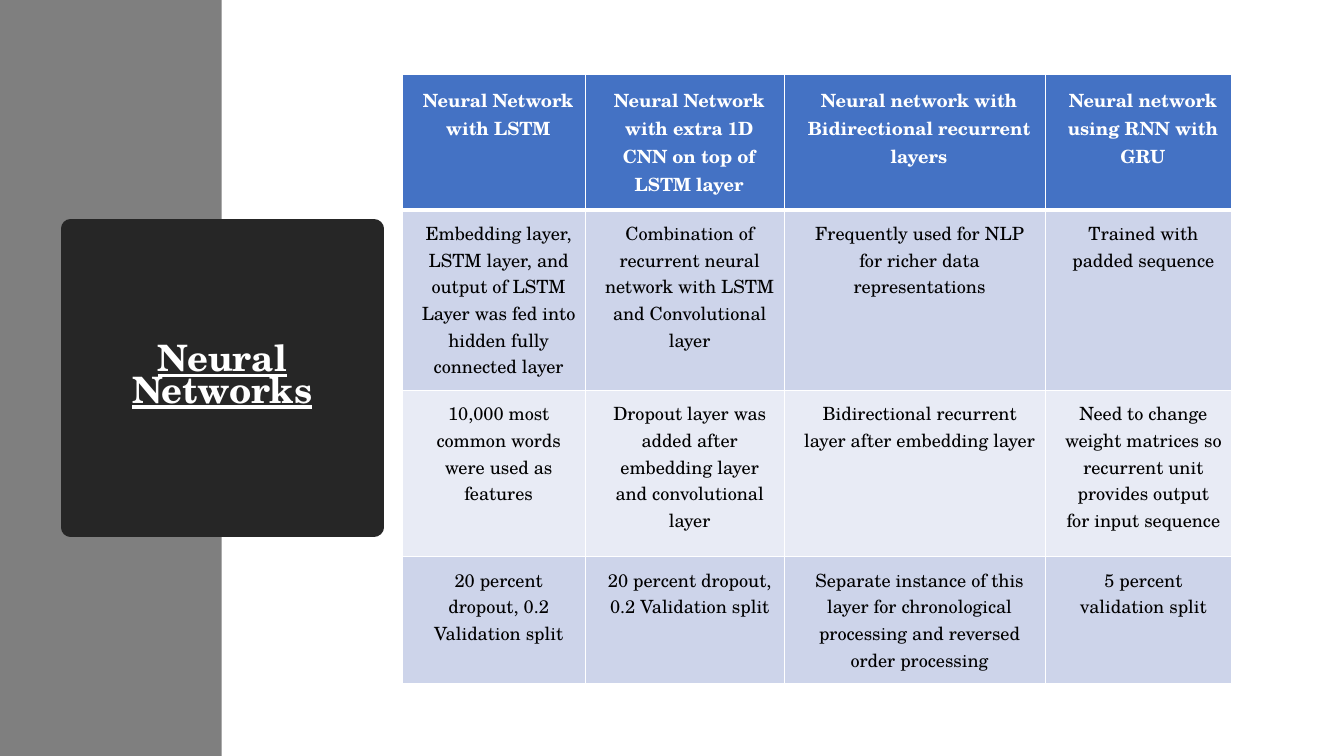
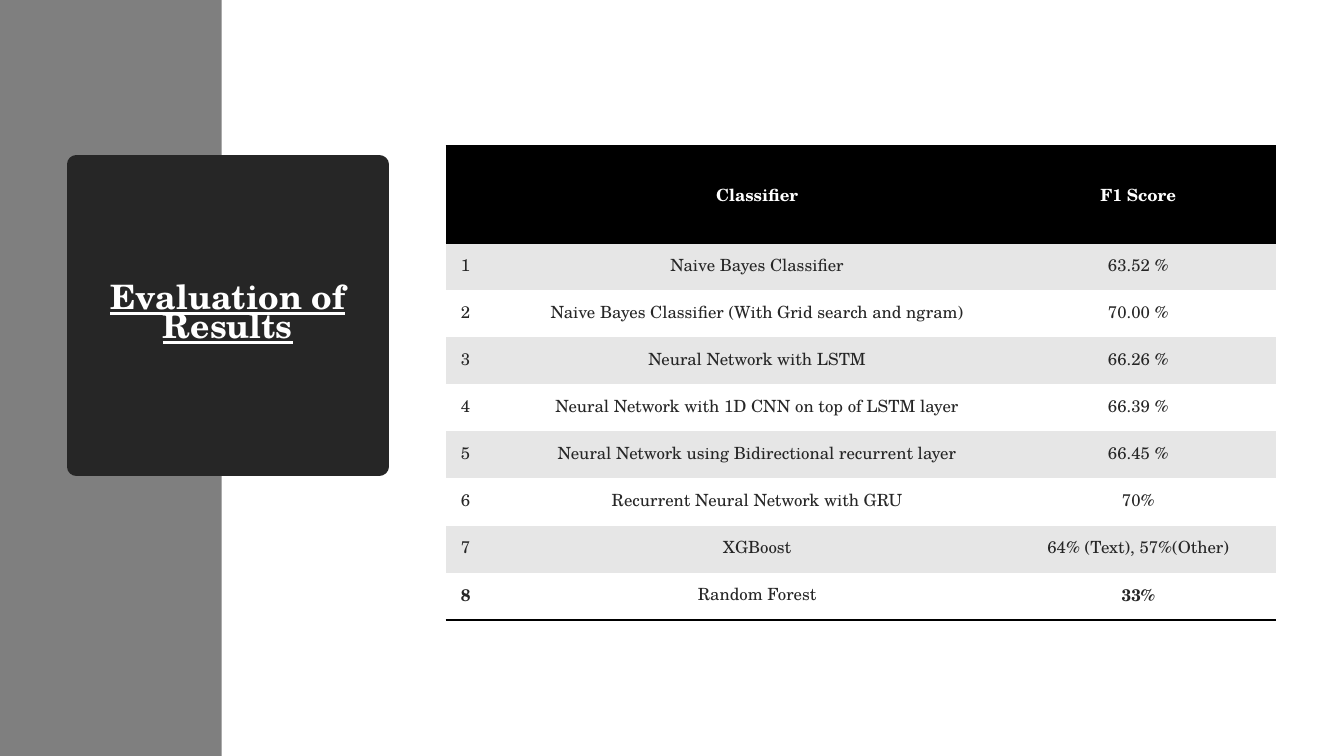
from lxml.etree import SubElement
from pptx import Presentation
from pptx.dml.color import RGBColor
from pptx.enum.shapes import MSO_SHAPE as Shape
from pptx.enum.text import MSO_ANCHOR as Anchor, MSO_AUTO_SIZE as AutoSize, PP_ALIGN as Align
from pptx.oxml.ns import qn
from pptx.util import Inches, Pt

FONT = "TeX Gyre Schola"
WHITE, BLACK, DARK, GRAY = "FFFFFF", "000000", "262626", "7F7F7F"
BLUE, BLUE_MID, BLUE_PALE, GRAY_PALE = "4472C4", "CDD4EA", "E8EBF5", "E6E6E6"
PLAIN_TABLE = "{2D5ABB26-0587-4C30-8999-92F81FD0307C}"

NETWORKS = [
    ["Neural Network with LSTM",
     "Neural Network with extra 1D CNN on top of LSTM layer",
     "Neural network with Bidirectional recurrent layers",
     "Neural network using RNN with GRU"],
    ["Embedding layer, LSTM layer, and output of LSTM Layer was fed into hidden fully connected layer",
     "Combination of recurrent neural network with LSTM and Convolutional layer",
     "Frequently used for NLP for richer data representations",
     "Trained with padded sequence"],
    ["10,000 most common words were used as features",
     "Dropout layer was added after embedding layer and convolutional layer",
     "Bidirectional recurrent layer after embedding layer",
     "Need to change weight matrices so recurrent unit provides output for input sequence"],
    ["20 percent dropout, 0.2 Validation split",
     "20 percent dropout, 0.2 Validation split",
     "Separate instance of this layer for chronological processing and reversed order processing",
     "5 percent validation split"],
]

SCORES = [
    ("Naive Bayes Classifier", "63.52 %"),
    ("Naive Bayes Classifier (With Grid search and ngram)", "70.00 %"),
    ("Neural Network with LSTM", "66.26 %"),
    ("Neural Network with 1D CNN on top of LSTM layer", "66.39 %"),
    ("Neural Network using Bidirectional recurrent layer", "66.45 %"),
    ("Recurrent Neural Network with GRU", "70%"),
    ("XGBoost", "64% (Text), 57%(Other)"),
    ("Random Forest", "33%"),
]


def rgb(value):
    return RGBColor.from_string(value)


def paint(target, color):
    target.fill.solid()
    target.fill.fore_color.rgb = rgb(color)


def add_text(frame, text, size, color, bold=False, underline=False, align=Align.CENTER):
    paragraph = frame.paragraphs[0]
    paragraph.alignment = align
    if text:
        run = paragraph.add_run()
        run.text = text
        font = run.font
        font.name, font.size, font.bold, font.underline = FONT, Pt(size), bold, underline
        font.color.rgb = rgb(color)
    return paragraph


def add_titled_slide(deck, text, size, left, top, width, height):
    slide = deck.slides.add_slide(deck.slide_layouts[5])
    band = slide.shapes.add_shape(Shape.RECTANGLE, 0, 0, Inches(2.2), deck.slide_height)
    band.shadow.inherit = False
    paint(band, GRAY)
    band.line.fill.background()

    title = slide.shapes.title
    band._element.addnext(title._element)
    title.left, title.top = Inches(left), Inches(top)
    title.width, title.height = Inches(width), Inches(height)
    paint(title, DARK)
    title.line.color.rgb = rgb(DARK)
    title.line.width = Pt(13.75)
    SubElement(title.line._get_or_add_ln(), qn("a:round"))
    frame = title.text_frame
    frame.word_wrap = True
    frame.auto_size = AutoSize.NONE
    frame.vertical_anchor = Anchor.MIDDLE
    add_text(frame, text, size, WHITE, bold=True, underline=True).line_spacing = 0.72
    return slide


def add_plain_table(slide, left, top, widths, heights):
    frame = slide.shapes.add_table(
        len(heights), len(widths), Inches(left), Inches(top),
        Inches(sum(widths)), Inches(sum(heights)))
    table = frame.table
    table.horz_banding = False
    table._tbl.tblPr.find(qn("a:tableStyleId")).text = PLAIN_TABLE
    for column, width in zip(table.columns, widths):
        column.width = Inches(width)
    for row, height in zip(table.rows, heights):
        row.height = Inches(height)
    return table


def add_borders(cell, borders):
    properties = cell._tc.get_or_add_tcPr()
    for side in "LRTB":
        if side in borders:
            color, width = borders[side]
            line = SubElement(properties, qn(f"a:ln{side}"), w=str(Pt(width)))
            SubElement(SubElement(line, qn("a:solidFill")), qn("a:srgbClr"), val=color)


def format_cell(cell, fill, indent, inset, borders):
    cell.margin_left = Inches(indent)
    cell.margin_right = cell.margin_top = cell.margin_bottom = Inches(inset)
    add_borders(cell, borders)
    paint(cell, fill)


def add_networks_table(slide):
    table = add_plain_table(slide, 3.99, 0.74, [1.82, 1.97, 2.59, 1.85], [1.34, 1.78, 1.65, 1.25])
    fills = [BLUE, BLUE_MID, BLUE_PALE, BLUE_MID]
    for row, (texts, fill) in enumerate(zip(NETWORKS, fills)):
        header = row == 0
        borders = dict.fromkeys("LRTB", (WHITE, 1))
        if header:
            borders["B"] = (WHITE, 3)
        elif row == 1:
            borders["T"] = (WHITE, 3)
        for column, text in enumerate(texts):
            cell = table.cell(row, column)
            format_cell(cell, fill, 0.19, 0.11 if header else 0.1, borders)
            add_text(cell.text_frame, text, 13, WHITE if header else BLACK, bold=header)


def add_scores_table(slide):
    rows = [("", "Classifier", "F1 Score")]
    rows += [(str(rank), *score) for rank, score in enumerate(SCORES, 1)]
    last = len(SCORES)
    table = add_plain_table(slide, 4.42, 1.45, [0.68, 4.76, 2.8], [0.96] + [3.74 / last] * last)
    rule = (BLACK, 2)
    for row, texts in enumerate(rows):
        header = row == 0
        fill = BLACK if header else GRAY_PALE if row % 2 else WHITE
        borders = {"T": rule, "B": rule} if header else {"B": rule} if row == last else {}
        for column, text in enumerate(texts):
            cell = table.cell(row, column)
            format_cell(cell, fill, 0.15, 0.09, borders)
            if header:
                cell.vertical_anchor = Anchor.MIDDLE
            add_text(cell.text_frame, text, 12, WHITE if header else DARK,
                     bold=header or (row == last and column != 1),
                     align=Align.CENTER if column else Align.LEFT)


def main():
    deck = Presentation()
    deck.slide_width, deck.slide_height = Inches(13.33), Inches(7.5)
    add_networks_table(add_titled_slide(deck, "Neural Networks", 26, 0.7, 2.27, 3.01, 2.96))
    add_scores_table(add_titled_slide(deck, "Evaluation of Results", 24, 0.76, 1.63, 3, 3))
    deck.save("out.pptx")


if __name__ == "__main__":
    main()
